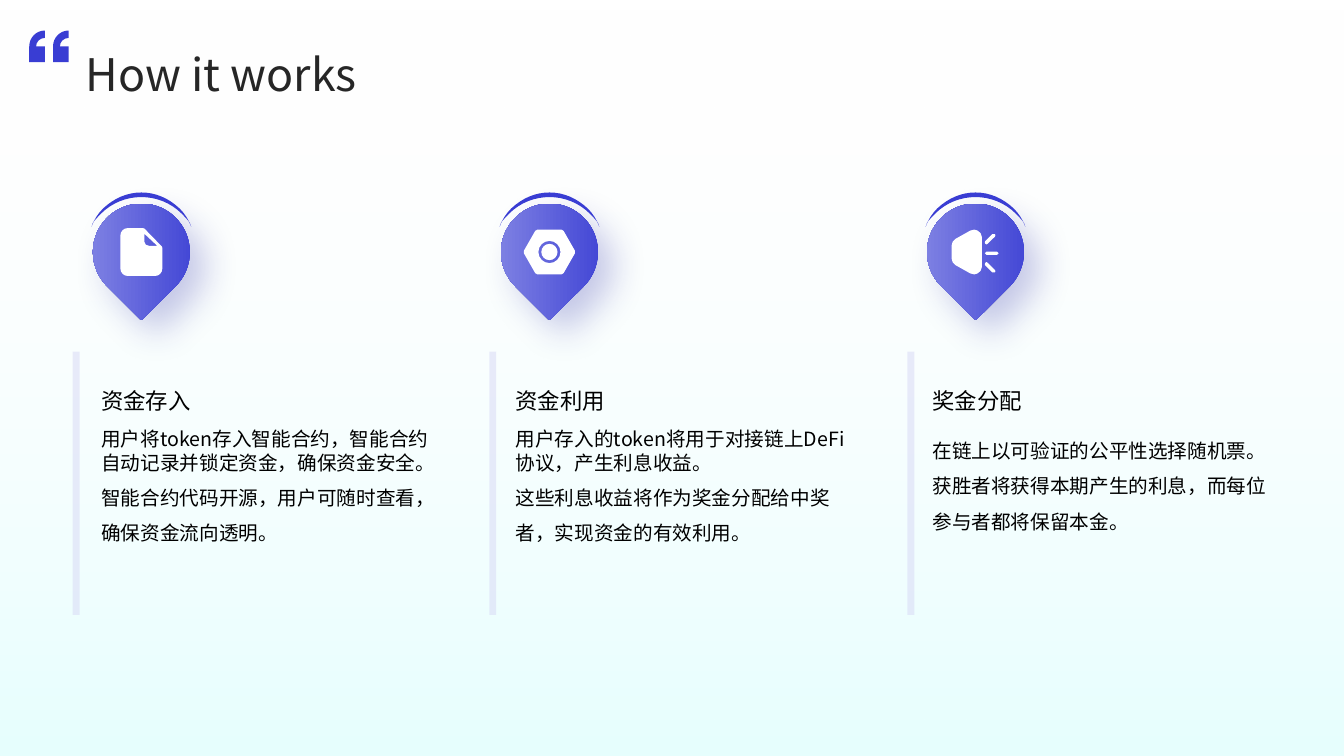
from lxml.etree import SubElement
from pptx import Presentation
from pptx.dml.color import RGBColor
from pptx.enum.shapes import MSO_SHAPE as Preset
from pptx.enum.text import MSO_ANCHOR as Anchor
from pptx.oxml.ns import qn
from pptx.util import Pt

FONT = "Noto Sans CJK SC"
INDIGO = RGBColor(0x39, 0x3D, 0xD3)
LAVENDER = RGBColor(0x88, 0x8B, 0xE5)
PALE = RGBColor(0xD7, 0xD8, 0xF6)
SHADE = RGBColor(0x25, 0x28, 0xA4)
MINT = RGBColor(0xBC, 0xFF, 0xFD)
WHITE = RGBColor(0xFF, 0xFF, 0xFF)
BLACK = RGBColor(0, 0, 0)
CHARCOAL = RGBColor(0x26, 0x26, 0x26)

QUOTE_MARKS = """M 28.2 0 L 28.2 5.3 C 24.6 5.3 21.9 8 21.9 11.4 L 28.2 11.4 L 28.2 22.6
L 17 22.6 L 17 11.4 C 17 5 22 0 28.2 0
M 11.2 0 L 11.2 5.3 C 7.6 5.3 4.9 8 4.9 11.4 L 11.2 11.4 L 11.2 22.6
L 0 22.6 L 0 11.4 C 0 5 5 0 11.2 0"""
CRESCENT = """M 0 -42.5 C 10.1 -42.5 19.4 -38.5 27.4 -31 C 31 -27.4 33.8 -23 35.3 -18.7
L 35.6 -18 L 34.6 -20.9 C 33.1 -23 31 -25.2 28.8 -27.4 C 13 -43.2 -13 -43.2 -28.8 -27.4
C -31 -25.2 -33.1 -23 -34.6 -20.9 L -35.6 -18 L -35.3 -18.7
C -33.8 -23 -31 -27.4 -27.4 -31 C -19.4 -38.5 -10.1 -42.5 0 -42.5"""
DOCUMENT = """M 2.2 -13 L 2.2 -7.2 C 2.2 -5.8 3.6 -4.3 5.8 -4.3 L 11.5 -4.3
M -9.8 -17.1 L 1.2 -17.1 C 1.8 -17.1 2.1 -16.9 2.3 -16.6 L 14.6 -4 C 14.8 -3.7 15 -3.4 15 -3
L 15 11.7 C 15 14.7 12.7 17.1 9.8 17.1 L -9.8 17.1 C -12.6 17.1 -15 14.7 -15 11.7
L -15 -11.7 C -15 -14.7 -12.6 -17.1 -9.8 -17.1"""
HEX_NUT = """M 0 -5.8 C 3.2 -5.8 5.8 -3.2 5.8 0 C 5.8 3.2 3.2 5.8 0 5.8
C -3.2 5.8 -5.8 3.2 -5.8 0 C -5.8 -3.2 -3.2 -5.8 0 -5.8
M 0 -7.9 C -4.4 -7.9 -7.9 -4.4 -7.9 0 C -7.9 4.4 -4.4 7.9 0 7.9
C 4.4 7.9 7.9 4.4 7.9 0 C 7.9 -4.4 4.4 -7.9 0 -7.9
M -8.6 -16 L 8.6 -16 C 9.2 -16 9.7 -15.7 10.1 -15.1 L 18.2 -1 C 18.6 -0.4 18.6 0.4 18.2 1
L 10.1 15.1 C 9.7 15.7 9.2 16 8.6 16 L -8.6 16 C -9.2 16 -9.7 15.7 -10.1 15.1
L -18.2 1 C -18.6 0.4 -18.6 -0.4 -18.2 -1 L -10.1 -15.1 C -9.7 -15.7 -9.2 -16 -8.6 -16"""
MEGAPHONE = """M 7.9 7.2 C 8.4 7.2 8.6 7.5 8.8 7.8 L 13.9 12.8 C 14.4 13.5 14.4 14.3 13.8 14.6
C 13.4 15.1 12.6 15.1 12.1 14.6 L 7 9.6 C 6.5 9.2 6.5 8.2 7 7.7 C 7.3 7.4 7.6 7.2 7.9 7.2
M 7.9 -0.3 L 15.4 -0.3 C 17 -0.3 17 2.1 15.4 2.1 L 7.9 2.1 C 6.3 2.1 6.3 -0.3 7.9 -0.3
M 7.9 -5.4 C 8.4 -5.4 8.6 -5.7 8.8 -6 L 13.9 -11 C 14.4 -11.7 14.4 -12.5 13.8 -12.8
C 13.4 -13.3 12.6 -13.3 12.1 -12.8 L 7 -7.8 C 6.5 -7.4 6.5 -6.4 7 -5.9 C 7.3 -5.6 7.6 -5.4 7.9 -5.4
M -0.9 -16 C -0.2 -16 0.6 -15.8 1.3 -15.4 C 3.3 -14.6 4.5 -12.7 4.5 -10.8
L 4.5 10.8 C 4.5 12.7 3.3 14.6 1.3 15.4 C 0.6 15.8 -0.2 16 -0.9 16 C -2 16 -2.9 15.8 -3.7 15.3
L -14.2 9.4 C -16 8.4 -17.1 6.5 -17.1 4.4 L -17.1 -4.4 C -17.1 -6.5 -16 -8.4 -14.2 -9.4
L -3.7 -15.3 C -2.9 -15.8 -2 -16 -0.9 -16"""

STEPS = [
    (52, 72.3, 101, DOCUMENT, "资金存入",
     "用户将token存入智能合约，智能合约自动记录并锁定资金，确保资金安全。\n"
     "智能合约代码开源，用户可随时查看，确保资金流向透明。"),
    (349.5, 368.3, 392.5, HEX_NUT, "资金利用",
     "用户存入的token将用于对接链上DeFi协议，产生利息收益。\n"
     "这些利息收益将作为奖金分配给中奖者，实现资金的有效利用。"),
    (648.2, 666, 696.8, MEGAPHONE, "奖金分配",
     "在链上以可验证的公平性选择随机票。获胜者将获得本期产生的利息，而每位参与者都将保留本金。"),
]


def set_alpha(color_element, percent):
    SubElement(color_element, qn("a:alpha"), val=str(percent * 1000))


def add_preset(slide, preset, left, top, width, height):
    shape = slide.shapes.add_shape(preset, Pt(left), Pt(top), Pt(width), Pt(height))
    shape.shadow.inherit = False
    shape.line.fill.background()
    return shape


def fill_gradient(shape, start, end, angle):
    shape.fill.gradient()
    shape.fill.gradient_angle = angle
    for stop, color, position in zip(shape.fill.gradient_stops, (start, end), (0, 1)):
        stop.color.rgb = color
        stop.position = position


def join_curves(shape, letters):
    lines = iter(list(shape._element.iter(qn("a:lnTo"))))
    for letter in letters:
        line = next(lines)
        if letter == "C":
            line.tag = qn("a:cubicBezTo")
            for control in (next(lines), next(lines)):
                line.append(control[0])
                control.getparent().remove(control)


def add_outline(slide, left, top, outline, color):
    """Draw M, L and C commands, given in points around (left, top), as one filled shape."""
    contours, letters = [], []
    for command in outline.replace("M", "|M").replace("L", "|L").replace("C", "|C").split("|")[1:]:
        letter, *values = command.split()
        numbers = [round(float(value) * 100) for value in values]
        points = list(zip(numbers[::2], numbers[1::2]))
        if letter == "M":
            contours.append(points)
        else:
            contours[-1] += points
            letters.append(letter)
    builder = slide.shapes.build_freeform(*contours[0][0], scale=Pt(1) / 100)
    for index, contour in enumerate(contours):
        if index:
            builder.move_to(*contour[0])
        builder.add_line_segments(contour[1:], close=True)
    shape = builder.convert_to_shape(Pt(left), Pt(top))
    join_curves(shape, letters)
    shape.shadow.inherit = False
    shape.fill.solid()
    shape.fill.fore_color.rgb = color
    shape.line.fill.background()


def add_text(slide, box, text, spacing, size, color, anchor):
    frame = slide.shapes.add_textbox(*(Pt(length) for length in box)).text_frame
    frame.word_wrap = True
    frame.vertical_anchor = anchor
    frame.margin_left = frame.margin_right = frame.margin_top = frame.margin_bottom = 0
    paragraph = frame.paragraphs[0]
    paragraph.line_spacing = spacing
    paragraph._p.get_or_add_pPr().set("hangingPunct", "0")
    run = paragraph.add_run()
    run.text = text
    run.font.size = Pt(size)
    run.font.name = FONT
    run.font.color.rgb = color
    SubElement(run.font._element, qn("a:ea"), typeface=FONT)


def add_background(slide, width, height):
    shape = add_preset(slide, Preset.RECTANGLE, 0, 0, width, height)
    fill_gradient(shape, MINT, WHITE, 90)
    for color, percent in zip(shape._element.iter(qn("a:srgbClr")), (37, 0)):
        set_alpha(color, percent)


def add_pin(slide, center, middle, icon):
    drop = add_preset(slide, Preset.TEAR, center - 34.6, middle - 34.6, 69.2, 69.2)
    drop.rotation = 135
    fill_gradient(drop, INDIGO, LAVENDER, 315)
    effects = drop._element.spPr.find(qn("a:effectLst"))
    shadow = SubElement(effects, qn("a:outerShdw"), blurRad=str(Pt(26)), dist=str(Pt(15)),
                        dir="2700000", algn="tl", rotWithShape="0")
    set_alpha(SubElement(shadow, qn("a:srgbClr"), val=str(SHADE)), 25)
    add_outline(slide, center, middle, CRESCENT, INDIGO)
    add_outline(slide, center, middle, icon, WHITE)


def add_step(slide, top, bar_left, text_left, pin_center, icon, heading, body):
    add_pin(slide, pin_center, top + 46.8, icon)
    bar = add_preset(slide, Preset.RECTANGLE, bar_left, top + 118, 5, 188)
    bar.fill.solid()
    bar.fill.fore_color.rgb = PALE
    set_alpha(next(bar._element.spPr.iter(qn("a:srgbClr"))), 50)
    add_text(slide, (text_left, top + 103.7, 241.2, 59), heading, 1.3, 16, BLACK, Anchor.BOTTOM)
    add_text(slide, (text_left, top + 172, 241.2, 134), body, 1.5, 14, BLACK, Anchor.TOP)


def add_title(slide, left, top):
    add_text(slide, (left + 40.5, top + 12.2, 846, 33.8), "How it works", 1.1,
             32, CHARCOAL, Anchor.MIDDLE)
    add_outline(slide, left, top, QUOTE_MARKS, INDIGO)


def main():
    presentation = Presentation()
    presentation.slide_width, presentation.slide_height = Pt(960), Pt(540)
    slide = presentation.slides.add_slide(presentation.slide_layouts[6])
    add_background(slide, 960, 540)
    for step in STEPS:
        add_step(slide, 133.2, *step)
    add_title(slide, 20.9, 21.8)
    presentation.save("out.pptx")


if __name__ == "__main__":
    main()
